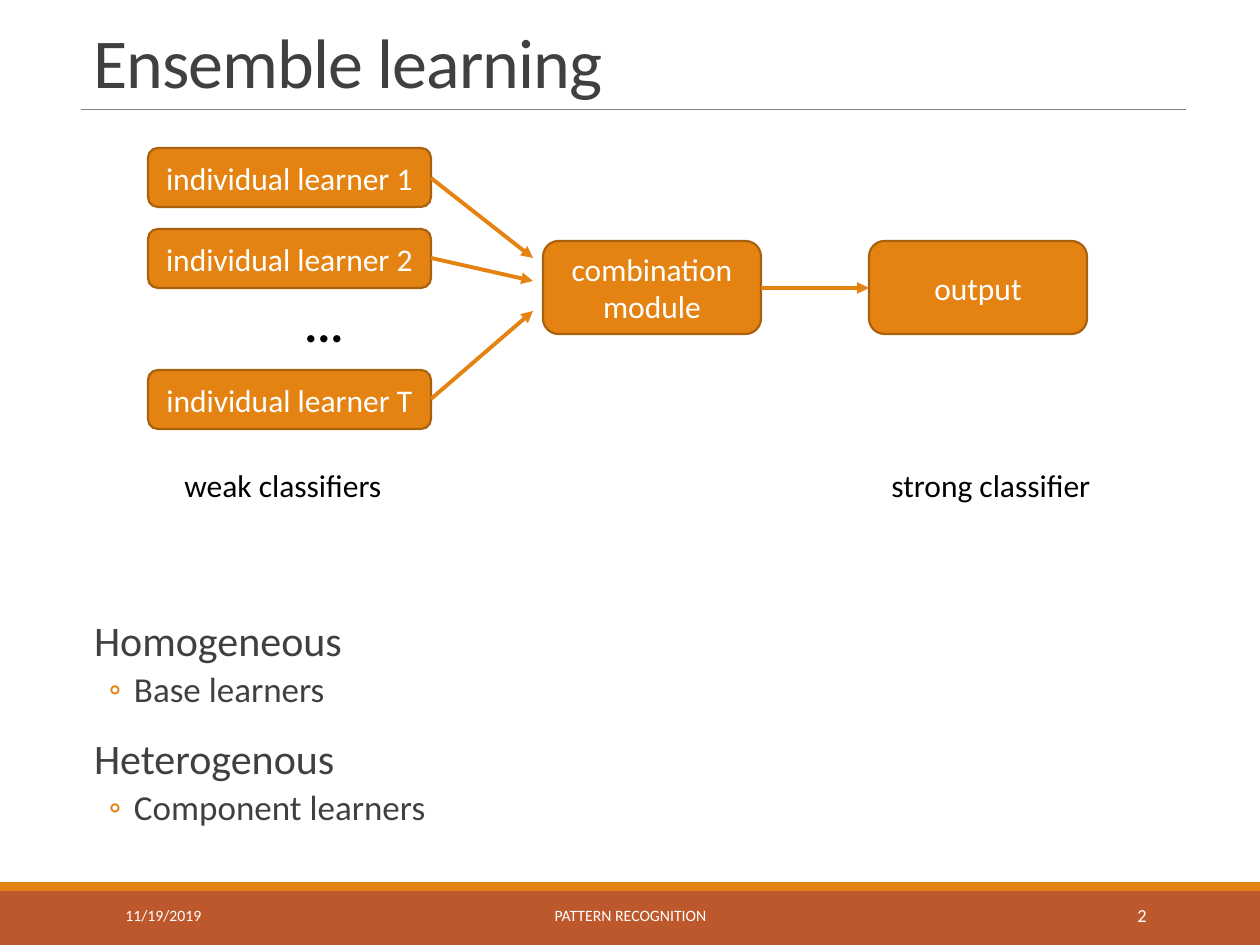
"""Build the ensemble learning slide with its learner diagram and list."""
from lxml import etree
from pptx import Presentation
from pptx.dml.color import RGBColor
from pptx.enum.shapes import MSO_CONNECTOR, MSO_SHAPE
from pptx.enum.text import MSO_ANCHOR, PP_ALIGN
from pptx.oxml.ns import qn
from pptx.util import Pt

PX = 914400 / 126
RECT, ROUND = MSO_SHAPE.RECTANGLE, MSO_SHAPE.ROUNDED_RECTANGLE
STRAIGHT = MSO_CONNECTOR.STRAIGHT
TOP, MIDDLE, BOTTOM = MSO_ANCHOR.TOP, MSO_ANCHOR.MIDDLE, MSO_ANCHOR.BOTTOM
LEFT, CENTER, RIGHT = PP_ALIGN.LEFT, PP_ALIGN.CENTER, PP_ALIGN.RIGHT
ORANGE = RGBColor(0xE4, 0x83, 0x12)
BROWN = RGBColor(0xA9, 0x61, 0x0D)
RUST = RGBColor(0xBD, 0x58, 0x2C)
DARK = RGBColor(0x40, 0x40, 0x40)
GRAY = RGBColor(0x80, 0x80, 0x80)
BLACK = RGBColor(0, 0, 0)
WHITE = RGBColor(0xFF, 0xFF, 0xFF)


def px(*values):
    return [round(v * PX) for v in values]


def write(sp, text, size, color, align=LEFT, anchor=TOP, bold=False):
    tf = sp.text_frame
    tf.word_wrap = True
    tf.vertical_anchor = anchor
    for i, line in enumerate(text.split("\n")):
        p = tf.add_paragraph() if i else tf.paragraphs[0]
        p.alignment = align
        r = p.add_run()
        r.text = line
        for name, value in {"name": "Calibri", "size": Pt(size), "bold": bold}.items():
            setattr(r.font, name, value)
        r.font.color.rgb = color
    return tf


prs = Presentation()
prs.slide_width, prs.slide_height = px(1260, 945)
s = prs.slides.add_slide(prs.slide_layouts[6])

for top, height, color in [(890, 55, RUST), (882, 9, ORANGE)]:
    sp = s.shapes.add_shape(RECT, *px(0, top, 1260, height))
    sp.shadow.inherit = False
    sp.fill.solid()
    sp.fill.fore_color.rgb = color
    sp.line.fill.background()

BOXES = [
    (148, 148, 283, 59, "individual learner 1"),
    (148, 229, 283, 59, "individual learner 2"),
    (148, 370, 283, 59, "individual learner T"),
    (543, 241, 218, 93, "combination\nmodule"),
    (869, 241, 218, 93, "output"),
]
for *box, text in BOXES:
    sp = s.shapes.add_shape(ROUND, *px(*box))
    sp.shadow.inherit = False
    sp.fill.solid()
    sp.fill.fore_color.rgb = ORANGE
    sp.line.color.rgb = BROWN
    sp.line.width = Pt(1.25)
    write(sp, text, 18, WHITE, CENTER, MIDDLE)

LINES = [
    (81, 109, 1186, 109, GRAY, 0.5, False),
    (431, 178, 533, 258, ORANGE, 2.25, True),
    (431, 258, 533, 281, ORANGE, 2.25, True),
    (431, 399, 533, 311, ORANGE, 2.25, True),
    (761, 288, 869, 288, ORANGE, 2.25, True),
]
for *ends, color, width, arrow in LINES:
    sp = s.shapes.add_connector(STRAIGHT, *px(*ends))
    sp.line.color.rgb = color
    sp.line.width = Pt(width)
    props = sp._element.spPr
    if arrow:
        etree.SubElement(props.find(qn("a:ln")), qn("a:tailEnd"), type="triangle")
    etree.SubElement(props, qn("a:effectLst"))

LABELS = [
    (81, 16, 1105, 93, "Ensemble learning", 40, DARK, LEFT, BOTTOM),
    (113, 890, 256, 50, "11/19/2019", 9, WHITE, LEFT, MIDDLE),
    (381, 890, 499, 50, "PATTERN RECOGNITION", 9, WHITE, CENTER, MIDDLE),
    (1023, 890, 136, 50, "2", 10.5, WHITE, RIGHT, MIDDLE),
    (268, 287, 112, 72, "...", 28, BLACK, CENTER, TOP, True),
    (172, 460, 236, 50, "weak classifiers", 18, BLACK),
    (879, 460, 236, 50, "strong classifier", 18, BLACK),
]
for x, y, w, h, *content in LABELS:
    tf = write(s.shapes.add_textbox(*px(x, y, w, h)), *content)
    if content[0] == "Ensemble learning":
        p = tf.paragraphs[0]
        p.line_spacing = 0.85
        p.runs[0].font._element.set("spc", "-50")

ITEMS = [("Homogeneous", 0), ("Base learners", 1), ("Heterogenous", 0), ("Component learners", 1)]
LEVELS = [
    {"size": 24, "before": 12, "after": 2, "margin": 13, "indent": -13, "bullet": None},
    {"size": 20, "before": 2, "after": 4, "margin": 53, "indent": -25, "bullet": "◦"},
]
sp = s.shapes.add_textbox(*px(81, 614, 1105, 254))
tf = write(sp, "\n".join(text for text, level in ITEMS), 24, DARK)
tf.margin_left = tf.margin_right = 0
for i, (p, (text, level)) in enumerate(zip(tf.paragraphs, ITEMS)):
    style = LEVELS[level]
    props = p._p.get_or_add_pPr()
    margin, indent = px(style["margin"], style["indent"])
    props.set("marL", str(margin))
    props.set("indent", str(indent if style["bullet"] else 0))
    if style["bullet"]:
        tint = etree.SubElement(props, qn("a:buClr"))
        etree.SubElement(tint, qn("a:srgbClr"), val=str(ORANGE))
        etree.SubElement(props, qn("a:buFont"), typeface="Calibri")
        etree.SubElement(props, qn("a:buChar"), char=style["bullet"])
    spacing = {
        "level": level,
        "line_spacing": 0.9,
        "space_before": Pt(style["before"] if i else 0),
        "space_after": Pt(style["after"]),
    }
    for name, value in spacing.items():
        setattr(p, name, value)
    p.runs[0].font.size = Pt(style["size"])

prs.save("out.pptx")
